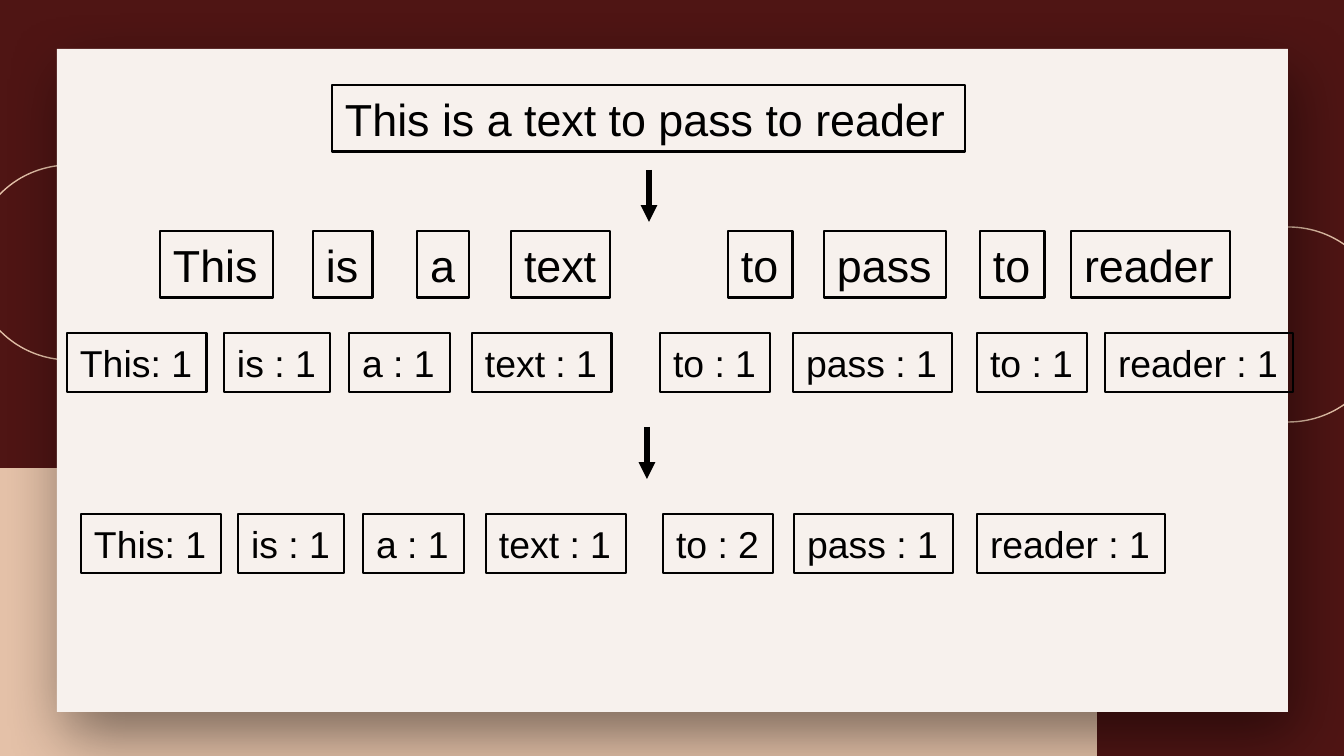
from lxml import etree
from pptx import Presentation
from pptx.dml.color import RGBColor
from pptx.enum.shapes import MSO_CONNECTOR, MSO_SHAPE
from pptx.enum.text import MSO_ANCHOR, PP_ALIGN
from pptx.oxml import parse_xml
from pptx.oxml.ns import nsdecls, qn
from pptx.util import Pt

EMU_PER_PX = 914400 / 134.4
SLIDE_W, SLIDE_H = 1344, 756

MAROON = RGBColor(0x4F, 0x15, 0x14)
SAND = RGBColor(0xE4, 0xC1, 0xA8)
CREAM = RGBColor(0xF7, 0xF1, 0xED)
BLACK = RGBColor(0x00, 0x00, 0x00)

FONT = "Arial"
INSET_X, INSET_Y = 13, 7

WORD_WIDTHS = {"This": 113, "is": 60, "a": 52, "text": 99,
               "to": 65, "pass": 122, "reader": 159}
COUNT_WIDTHS = {"This": 140, "is": 106, "a": 101, "text": 140,
                "to": 110, "pass": 159, "reader": 188}

SENTENCE = "This is a text to pass to reader"
WORDS = SENTENCE.split()
WORD_LEFTS = [160, 313, 417, 511, 728, 824, 980, 1071]
MAPPED_LEFTS = [67, 224, 349, 472, 660, 793, 977, 1105]
REDUCED = {word: WORDS.count(word) for word in WORDS}
REDUCED_LEFTS = [81, 238, 363, 486, 663, 794, 977]


def px(length):
    return round(length * EMU_PER_PX)


def add_plain_shape(shapes, preset, box, fill=None, line=None, line_pt=0.75):
    shape = shapes.add_shape(preset, *map(px, box))
    shape.shadow.inherit = False
    if fill is None:
        shape.fill.background()
    else:
        shape.fill.solid()
        shape.fill.fore_color.rgb = fill
    if line is None:
        shape.line.fill.background()
    else:
        shape.line.color.rgb = line
        shape.line.width = Pt(line_pt)
    return shape


def add_soft_shadow(shape):
    effects = shape._element.spPr.find(qn("a:effectLst"))
    effects.append(parse_xml(
        f'<a:outerShdw {nsdecls("a")} blurRad="{Pt(33.8)}" dist="{Pt(12.8)}" '
        'dir="4200000" algn="bl" rotWithShape="0">'
        f'<a:srgbClr val="{BLACK}"><a:alpha val="45000"/></a:srgbClr>'
        '</a:outerShdw>'))


def add_backdrop(slide):
    slide.background.fill.solid()
    slide.background.fill.fore_color.rgb = MAROON
    add_plain_shape(slide.shapes, MSO_SHAPE.RECTANGLE,
                    (0, 468, 1097, 288), fill=SAND)
    for left, top in ((-28, 165), (1191, 227)):
        add_plain_shape(slide.shapes, MSO_SHAPE.FLOWCHART_CONNECTOR,
                        (left, top, 195, 195), line=SAND)
    card = add_plain_shape(slide.shapes, MSO_SHAPE.RECTANGLE,
                           (57, 49, 1231, 663), fill=CREAM)
    add_soft_shadow(card)


def add_text_box(shapes, text, box, size):
    outline = add_plain_shape(shapes, MSO_SHAPE.RECTANGLE, box,
                              line=BLACK, line_pt=1.5)
    frame = outline.text_frame
    frame.text = text
    frame.word_wrap = True
    frame.vertical_anchor = MSO_ANCHOR.TOP
    frame.margin_left, frame.margin_right = px(INSET_X), 0
    frame.margin_top = frame.margin_bottom = px(INSET_Y)
    paragraph = frame.paragraphs[0]
    paragraph.alignment = PP_ALIGN.LEFT
    font = paragraph.runs[0].font
    font.name, font.size, font.color.rgb = FONT, Pt(size), BLACK


def add_token_row(slide, top, height, size, tokens):
    """Group one row of boxes; tokens are (text, left, width)."""
    row = slide.shapes.add_group_shape()
    for text, left, width in tokens:
        add_text_box(row.shapes, text, (left, top, width, height), size)


def add_count_row(slide, top, counts, lefts):
    tokens = []
    for (word, count), left in zip(counts, lefts):
        separator = ": " if word == "This" else " : "
        tokens.append((f"{word}{separator}{count}", left, COUNT_WIDTHS[word]))
    add_token_row(slide, top, 59, 20, tokens)


def add_down_arrow(slide, x, top, length=52):
    arrow = slide.shapes.add_connector(
        MSO_CONNECTOR.STRAIGHT, px(x), px(top), px(x), px(top + length))
    arrow.line.color.rgb = BLACK
    arrow.line.width = Pt(3)
    etree.SubElement(arrow.line._get_or_add_ln(), qn("a:tailEnd"),
                     type="triangle")
    etree.SubElement(arrow._element.spPr, qn("a:effectLst"))


def add_word_count_flow(slide):
    add_text_box(slide.shapes, SENTENCE, (332, 85, 633, 67), 24)
    add_down_arrow(slide, 649, 170)
    add_token_row(slide, 231, 67, 24,
                  [(word, left, WORD_WIDTHS[word])
                   for word, left in zip(WORDS, WORD_LEFTS)])
    add_count_row(slide, 333, [(word, 1) for word in WORDS], MAPPED_LEFTS)
    add_down_arrow(slide, 647, 427)
    add_count_row(slide, 514, REDUCED.items(), REDUCED_LEFTS)


def main():
    deck = Presentation()
    deck.slide_width, deck.slide_height = px(SLIDE_W), px(SLIDE_H)
    slide = deck.slides.add_slide(deck.slide_layouts[6])
    add_backdrop(slide)
    add_word_count_flow(slide)
    deck.save("out.pptx")


if __name__ == "__main__":
    main()
